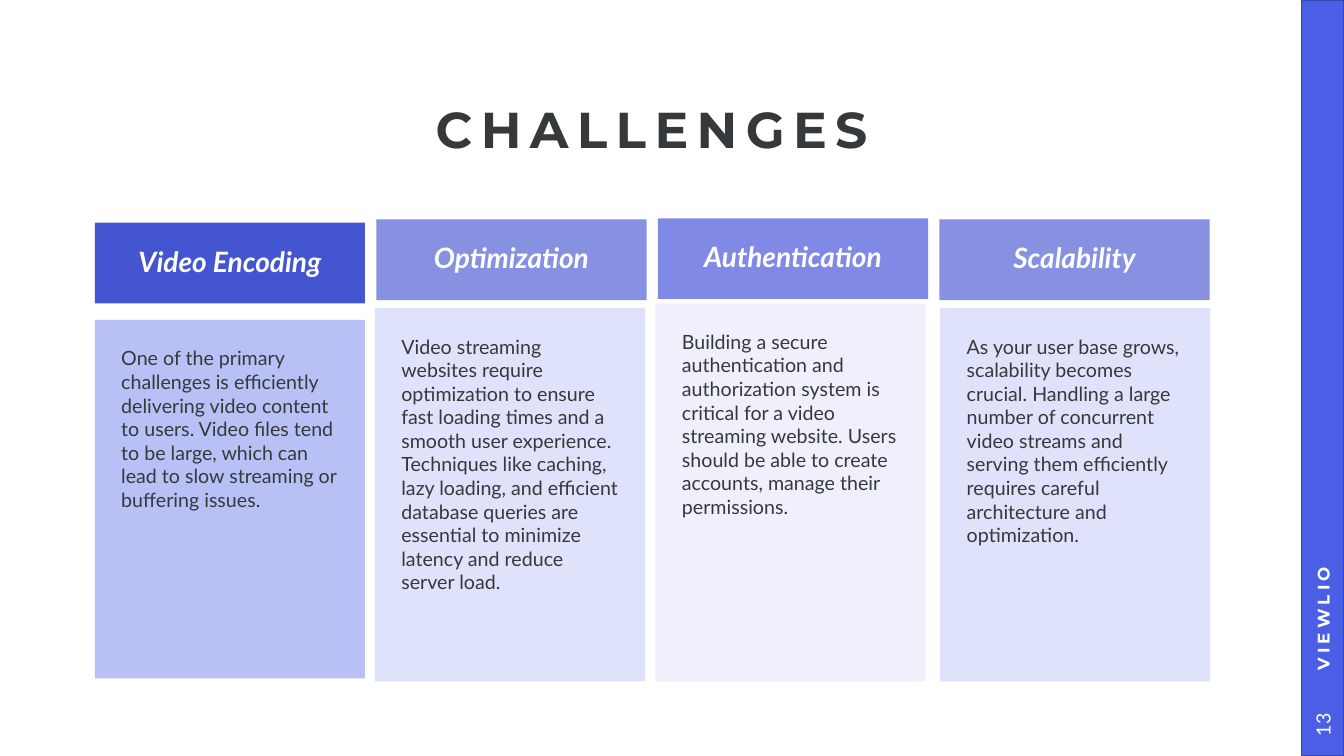
from pptx import Presentation
from pptx.dml.color import RGBColor
from pptx.enum import shapes, text
from pptx.oxml.ns import qn
from pptx.util import Pt
from lxml import etree

TITLE = "CHALLENGES"
BRAND = "VIEWLIO"
PAGE = "13"

# name, body text, head (top, colour, opacity), body (left, top, bottom, colour, opacity)
CARDS = [
    ("Video Encoding",
     "One of the primary challenges is efficiently delivering video content to users. "
     "Video files tend to be large, which can lead to slow streaming or buffering issues.",
     (159.1, "4355D1", 100), (67.7, 228.5, 484.6, "929EF0", 64)),
    ("Optimization",
     "Video streaming websites require optimization to ensure fast loading times and a "
     "smooth user experience. Techniques like caching, lazy loading, and efficient database "
     "queries are essential to minimize latency and reduce server load.",
     (156.8, "1C32C8", 53), (267.8, 220.2, 486.7, "B7BFF5", 45)),
    ("Authentication",
     "Building a secure authentication and authorization system is critical for a video "
     "streaming website. Users should be able to create accounts, manage their permissions.",
     (156, "808AE6", 100), (468.2, 216.7, 486.7, "DBDFFA", 44)),
    ("Scalability",
     "As your user base grows, scalability becomes crucial. Handling a large number of "
     "concurrent video streams and serving them efficiently requires careful architecture "
     "and optimization.",
     (156.8, "1C32C8", 53), (671.6, 220.2, 486.7, "B7BFF5", 45)),
]

THEME = {
    "dark": "36393B", "light": "FFFFFF", "band": "4A5EE6", "edge": "3746AA",
    "body": "Lato", "display": "Montserrat",
    "title": 36, "head": 20, "copy": 14, "brand": 12,
}
WIDE, HIGH = 960, 540
LEFT, STEP, CARD, HEAD = 67.7, 201.1, 193, 57.6
BAND = 30.2
LEAD = 0.9
CENTER = text.PP_ALIGN.CENTER
MIDDLE = text.MSO_ANCHOR.MIDDLE


def place(shape, x, y, w, h):
    shape.left, shape.top, shape.width, shape.height = Pt(x), Pt(y), Pt(w), Pt(h)


def write(shape, words, face, size, color, pads, anchor=MIDDLE,
          align=CENTER, lead=None, bold=False, italic=False, track=0):
    """Fill a shape with one styled paragraph; pads run left, top, right, bottom."""
    frame = shape.text_frame
    frame.text = words
    frame.word_wrap = True
    frame.auto_size = text.MSO_AUTO_SIZE.NONE
    frame.vertical_anchor = anchor
    (frame.margin_left, frame.margin_top,
     frame.margin_right, frame.margin_bottom) = [Pt(pad) for pad in pads]
    para = frame.paragraphs[0]
    para.alignment = align
    if lead:
        para.line_spacing = lead
    run = para.runs[0]
    font = run.font
    font.name, font.size = THEME[face], Pt(THEME[size])
    font.bold, font.italic = bold, italic
    font.color.rgb = RGBColor.from_string(THEME[color])
    if track:
        run._r.get_or_add_rPr().set("spc", str(track * 100))


def block(slide, x, y, w, h, color, alpha=100):
    shape = slide.shapes.add_shape(shapes.MSO_SHAPE.RECTANGLE, Pt(x), Pt(y), Pt(w), Pt(h))
    shape.shadow.inherit = False
    shape.fill.solid()
    shape.fill.fore_color.rgb = RGBColor.from_string(color)
    shape.line.fill.background()
    if alpha < 100:
        tint = shape._element.spPr.find(qn("a:solidFill")).find(qn("a:srgbClr"))
        etree.SubElement(tint, qn("a:alpha")).set("val", str(alpha * 1000))
    return shape


def upright(slide, mid, length):
    """Add a box that reads upwards, centred on the side band at height mid."""
    x = WIDE - BAND / 2 - length / 2
    box = slide.shapes.add_textbox(Pt(x), Pt(mid - BAND / 2), Pt(length), Pt(BAND))
    box.rotation = 270
    return box


def main():
    deck = Presentation()
    deck.slide_width, deck.slide_height = Pt(WIDE), Pt(HIGH)
    slide = deck.slides.add_slide(deck.slide_layouts[5])

    band = block(slide, WIDE - BAND, 0, BAND, HIGH, THEME["band"])
    band.line.color.rgb = RGBColor.from_string(THEME["edge"])
    band.line.width = Pt(1)

    for i, (name, words, head, body) in enumerate(CARDS):
        top, color, alpha = head
        cap = block(slide, LEFT + i * STEP, top, CARD, HEAD, color, alpha)
        write(cap, name, "body", "head", "light", [15.1] * 4,
              lead=LEAD, bold=True, italic=True)
        x, top, end, color, alpha = body
        panel = block(slide, x, top, CARD, end - top, color, alpha)
        write(panel, words, "body", "copy", "dark", [18.9] * 4,
              anchor=text.MSO_ANCHOR.TOP, align=text.PP_ALIGN.LEFT)

    title = slide.shapes.title
    place(title, 67, 69.1, 797, 51.1)
    write(title, TITLE, "display", "title", "dark", [0] * 4,
          lead=LEAD, bold=True, track=6)

    write(upright(slide, 247.7, 495.4), BRAND, "display", "brand", "light",
          [16.6, 3.6, 7.2, 3.6], align=text.PP_ALIGN.LEFT, bold=True, track=3)
    write(upright(slide, 517.7, 44.6), PAGE, "body", "copy", "light",
          [7.2, 3.6, 7.2, 3.6])
    deck.save("out.pptx")


if __name__ == "__main__":
    main()
